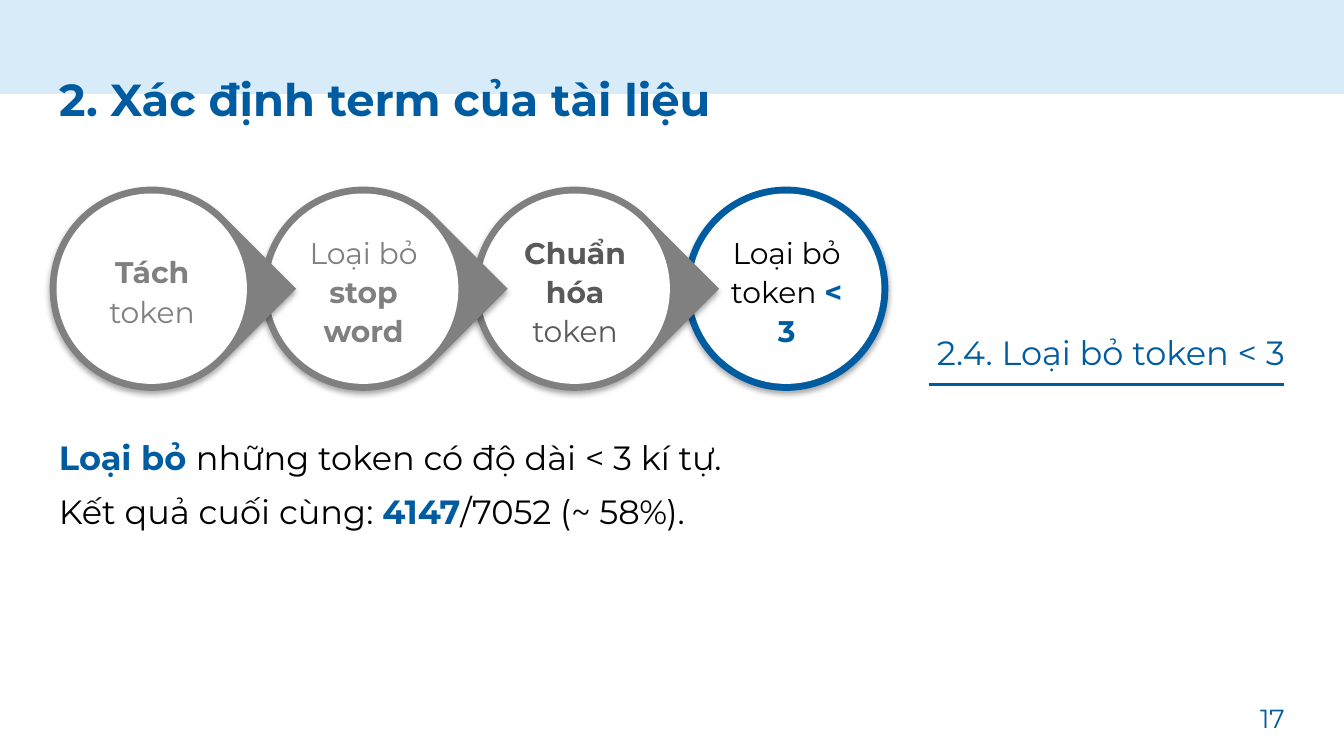
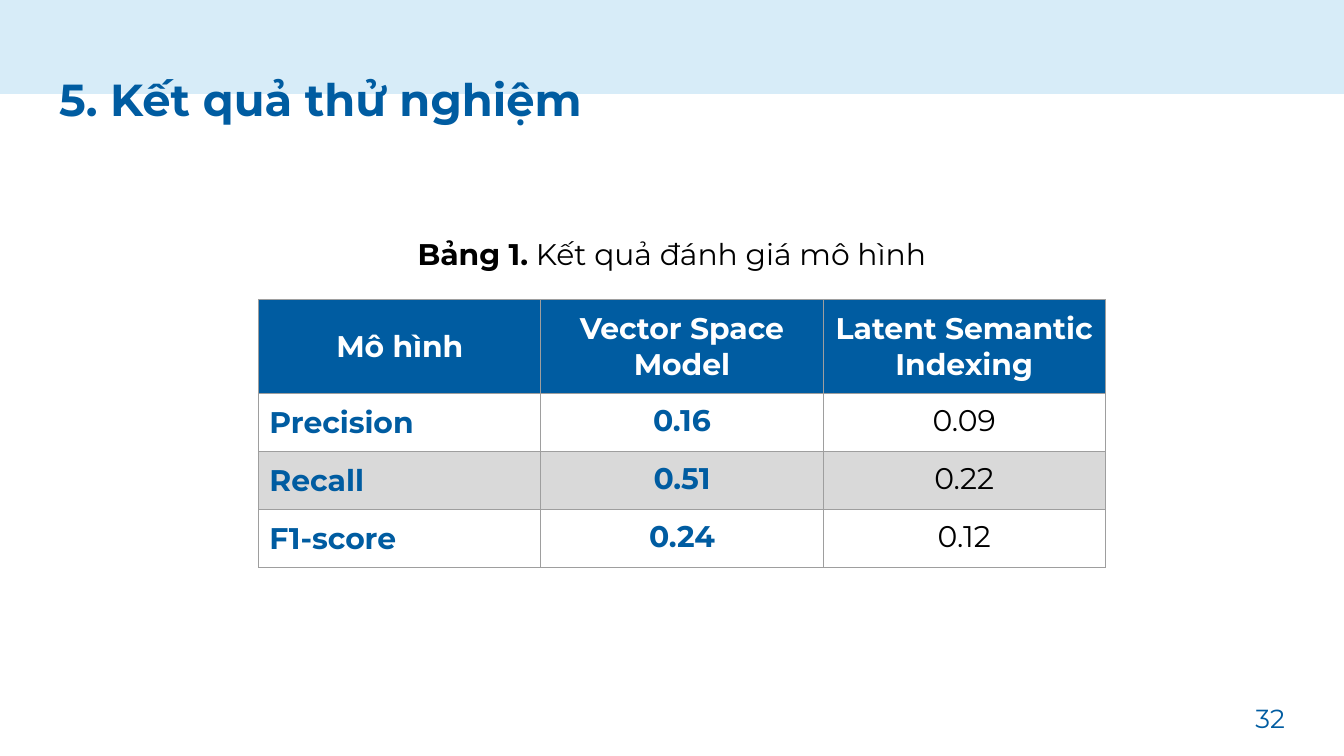
from lxml import etree
from pptx import Presentation
from pptx.dml.color import RGBColor
from pptx.enum.shapes import MSO_CONNECTOR, MSO_SHAPE
from pptx.enum.text import MSO_ANCHOR, MSO_AUTO_SIZE, PP_ALIGN
from pptx.oxml.ns import qn
from pptx.util import Pt

LEFT, CENTER, RIGHT = PP_ALIGN.LEFT, PP_ALIGN.CENTER, PP_ALIGN.RIGHT
TOP, MIDDLE = MSO_ANCHOR.TOP, MSO_ANCHOR.MIDDLE
OVAL, TEARDROP, RECTANGLE = MSO_SHAPE.OVAL, MSO_SHAPE.TEAR, MSO_SHAPE.RECTANGLE
STRAIGHT = MSO_CONNECTOR.STRAIGHT
NO_AUTOFIT = MSO_AUTO_SIZE.NONE

FONT = "Montserrat"
BLUE, PALE_BLUE, WHITE, BLACK = "005CA1", "D7ECF8", "FFFFFF", "000000"
GRAY, DARK_GRAY, LIGHT_GRAY, BORDER_GRAY = "808080", "595959", "D9D9D9", "9E9E9E"


def rgb(color):
    return RGBColor.from_string(color)


def write(frame, paragraphs, size, align=LEFT, anchor=TOP, inset=None,
          line=1.0, before=0, after=0):
    frame.word_wrap = True
    frame.auto_size = NO_AUTOFIT
    frame.vertical_anchor = anchor
    if inset is not None:
        frame.margin_left = frame.margin_right = Pt(inset)
        frame.margin_top = frame.margin_bottom = Pt(inset)
    for number, runs in enumerate(paragraphs):
        paragraph = frame.add_paragraph() if number else frame.paragraphs[0]
        paragraph.alignment = align
        paragraph.line_spacing = line
        paragraph.space_before, paragraph.space_after = Pt(before), Pt(after)
        for text, color, bold in runs:
            run = paragraph.add_run()
            run.text = text
            run.font.name, run.font.size, run.font.bold = FONT, Pt(size), bold
            run.font.color.rgb = rgb(color)


deck = Presentation()
deck.slide_width, deck.slide_height = Pt(720), Pt(405)

slides = []
for heading, page in [("2. Xác định term của tài liệu", "17"),
                      ("5. Kết quả thử nghiệm", "32")]:
    slide = deck.slides.add_slide(deck.slide_layouts[5])
    band = slide.shapes.add_shape(RECTANGLE, 0, 0, Pt(720), Pt(50.4))
    band.shadow.inherit = False
    band.fill.solid()
    band.fill.fore_color.rgb = rgb(PALE_BLUE)
    band.line.fill.background()
    slide.shapes._spTree.insert(2, band._element)

    title = slide.shapes.title
    title.left, title.top, title.width, title.height = Pt(24.5), Pt(25.2), Pt(671), Pt(79.2)
    write(title.text_frame, [[(heading, BLUE, True)]], 24, inset=7.2, line=1.2)

    page_number = slide.shapes.add_textbox(Pt(652.3), Pt(370), Pt(43.2), Pt(31))
    write(page_number.text_frame, [[(page, BLUE, False)]], 14,
          align=RIGHT, anchor=MIDDLE, inset=7.2, line=0.9)
    slides.append(slide)
process_slide, results_slide = slides

steps = [
    (TEARDROP, GRAY, [("Tách ", GRAY, True), ("token", GRAY, False)]),
    (TEARDROP, GRAY, [("Loại bỏ ", GRAY, False), ("stop word", GRAY, True)]),
    (TEARDROP, GRAY, [("Chuẩn hóa ", DARK_GRAY, True), ("token", DARK_GRAY, False)]),
    (OVAL, BLUE, [("Loại bỏ token ", BLACK, False), ("< 3", BLUE, True)]),
]
STEP_LEFT, STEP_TOP, STEP_PITCH = 26.6, 100, 113.3
for index, (outline, ring_color, label_runs) in reversed(list(enumerate(steps))):
    left = STEP_LEFT + index * STEP_PITCH
    step = process_slide.shapes.add_group_shape().shapes
    ring = step.add_shape(outline, Pt(left), Pt(STEP_TOP), Pt(109.4), Pt(109.4))
    disc = step.add_shape(OVAL, Pt(left + 3.7), Pt(STEP_TOP + 3.7), Pt(102), Pt(102))
    for circle, color in [(ring, ring_color), (disc, WHITE)]:
        circle.shadow.inherit = False
        circle.fill.solid()
        circle.fill.fore_color.rgb = rgb(color)
        circle.line.fill.background()
    if outline == TEARDROP:
        ring.adjustments[0] = 1
        ring.rotation = 45
    effects = ring._element.spPr.find(qn("a:effectLst"))
    shadow = etree.SubElement(effects, qn("a:outerShdw"), blurRad=str(Pt(3.1)),
                              dist=str(Pt(1.8)), dir="5400000", rotWithShape="0")
    shadow_color = etree.SubElement(shadow, qn("a:srgbClr"), val=BLACK)
    etree.SubElement(shadow_color, qn("a:alpha"), val="35000")

    label = step.add_textbox(Pt(left + 18.2), Pt(STEP_TOP + 18.6), Pt(73.4), Pt(73.4))
    write(label.text_frame, [label_runs], 16, align=CENTER, anchor=MIDDLE,
          inset=1.4, line=1.1)

subheading = process_slide.shapes.add_textbox(Pt(443.5), Pt(174.2), Pt(252), Pt(29))
write(subheading.text_frame, [[("2.4. Loại bỏ token < 3", BLUE, False)]], 18, align=RIGHT)

findings = process_slide.shapes.add_textbox(Pt(24.5), Pt(226), Pt(648), Pt(60.5))
write(findings.text_frame, [
    [("Loại bỏ ", BLUE, True), ("những token có độ dài < 3 kí tự.", BLACK, False)],
    [("Kết quả cuối cùng: ", BLACK, False), ("4147", BLUE, True),
     ("/7052 (~ 58%).", BLACK, False)],
], 18, line=1.2, before=3)

underline = process_slide.shapes.add_connector(STRAIGHT, Pt(497.5), Pt(206), Pt(687.6), Pt(206))
underline.line.color.rgb = rgb(BLUE)
underline.line.width = Pt(1.5)
etree.SubElement(underline._element.spPr, qn("a:effectLst"))

scores = [
    ("Mô hình", "Vector Space Model", "Latent Semantic Indexing"),
    ("Precision", "0.16", "0.09"),
    ("Recall", "0.51", "0.22"),
    ("F1-score", "0.24", "0.12"),
]
score_table = results_slide.shapes.add_table(
    4, 3, Pt(138.6), Pt(160.5), Pt(453.6), Pt(127.5)).table
score_table.first_row = score_table.horz_banding = False
for column in score_table.columns:
    column.width = Pt(151.2)
for r, values in enumerate(scores):
    score_table.rows[r].height = Pt(27.4 if r else 45.3)
    for c, value in enumerate(values):
        cell = score_table.cell(r, c)
        header = r == 0
        color = WHITE if header else BLACK if c == 2 else BLUE
        write(cell.text_frame, [[(value, color, header or c < 2)]], 16,
              align=CENTER if header or c else LEFT, before=6, after=6)
        cell.vertical_anchor = MIDDLE if header else TOP
        padding = Pt(5.76 if header or c == 0 else 5.04)
        cell.margin_left = cell.margin_right = padding
        cell.margin_top = cell.margin_bottom = padding
        for side in ("a:lnL", "a:lnR", "a:lnT", "a:lnB"):
            border = etree.SubElement(cell._tc.get_or_add_tcPr(), qn(side), w=str(Pt(0.6)))
            border_fill = etree.SubElement(border, qn("a:solidFill"))
            etree.SubElement(border_fill, qn("a:srgbClr"), val=BORDER_GRAY)
        if header or r == 2:
            cell.fill.solid()
            cell.fill.fore_color.rgb = rgb(BLUE if header else LIGHT_GRAY)
        else:
            cell.fill.background()

caption = results_slide.shapes.add_textbox(Pt(100.8), Pt(123), Pt(518.4), Pt(26.6))
write(caption.text_frame, [[("Bảng 1.", BLACK, True),
                            (" Kết quả đánh giá mô hình", BLACK, False)]], 16, align=CENTER)

deck.save("out.pptx")
